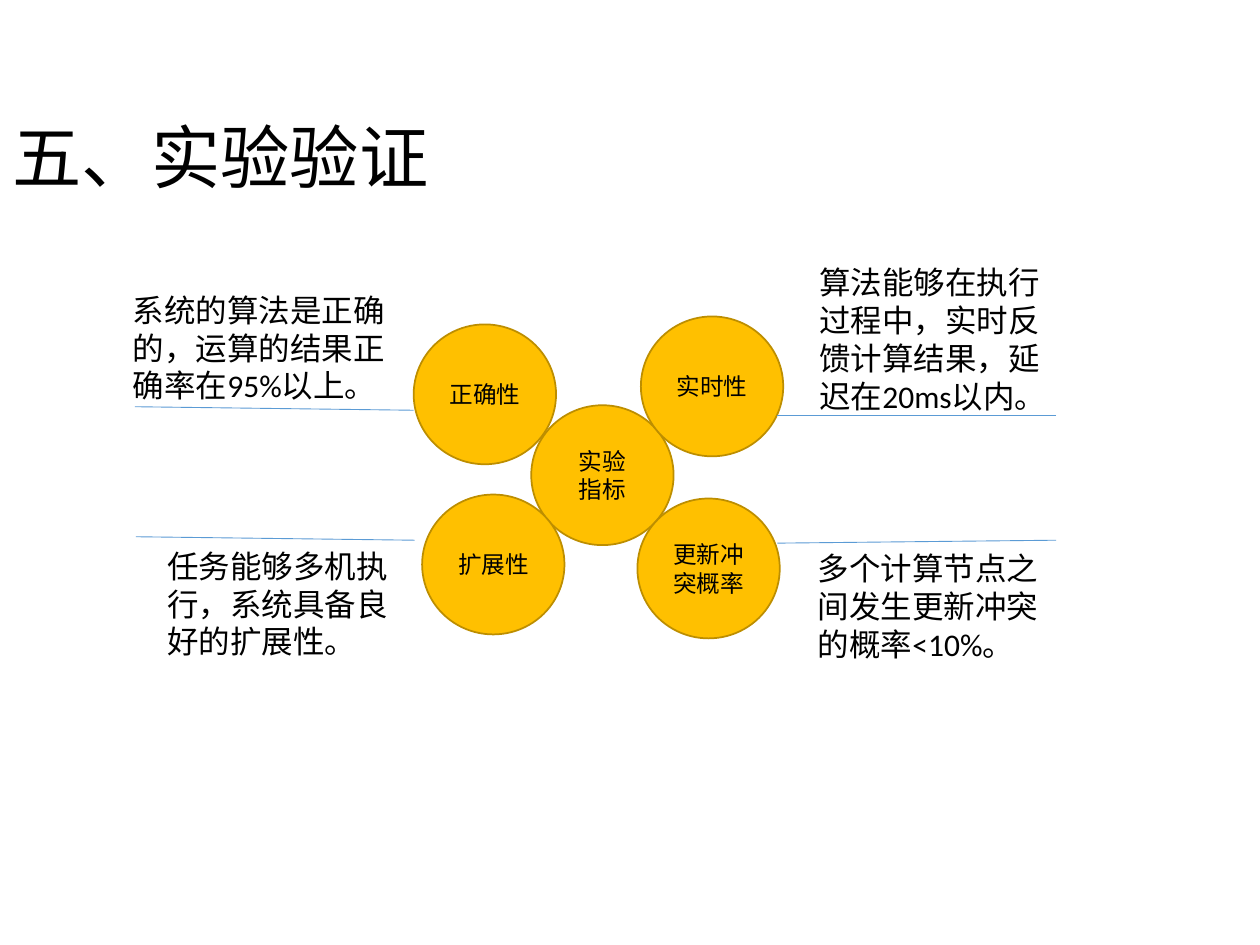
from lxml.etree import SubElement
from pptx import Presentation
from pptx.dml.color import RGBColor
from pptx.enum.shapes import MSO_CONNECTOR as Connector, MSO_SHAPE as Shape
from pptx.enum.text import MSO_ANCHOR as Anchor, MSO_AUTO_SIZE as AutoSize, PP_ALIGN as Align
from pptx.oxml.ns import qn
from pptx.util import Cm, Pt

TITLE = "五、实验验证"
CIRCLE_SIZE = (2.87, 2.82)
CIRCLES = [
    (["实验", "指标"], 10.71, 8.17),
    (["实时性"], 12.92, 6.38),
    (["更新冲突概率"], 12.85, 10.05),
    (["正确性"], 8.34, 6.54),
    (["扩展性"], 8.51, 9.97),
]
NOTES = [
    ("系统的算法是正确的，运算的结果正确率在95%以上。", (2.43, 5.74, 6.12, 2.57)),
    ("算法能够在执行过程中，实时反馈计算结果，延迟在20ms以内。", (16.27, 5.18, 5.36, 3.33)),
    ("多个计算节点之间发生更新冲突的概率<10%。", (16.24, 10.95, 5.41, 2.57)),
    ("任务能够多机执行，系统具备良好的扩展性。", (3.12, 10.9, 5.41, 2.57)),
]
RULES = [
    (8.34, 8.27, 2.72, 8.2),
    (21.29, 8.37, 15.67, 8.37),
    (8.36, 10.89, 2.74, 10.82),
    (21.29, 10.89, 15.67, 10.95),
]
TITLE_FORMAT = {"alignment": Align.LEFT, "line_spacing": 0.9}
CIRCLE_FORMAT = {"alignment": Align.CENTER}
NOTE_FORMAT = {"alignment": Align.LEFT}


def colour(hex_value):
    return RGBColor.from_string(hex_value)


def lengths(values):
    return [Cm(value) for value in values]


def write(frame, lines, size, paragraph_format, anchor, fit=AutoSize.NONE):
    frame.text = "\n".join(lines)
    for key, value in {"word_wrap": True, "auto_size": fit, "vertical_anchor": anchor}.items():
        setattr(frame, key, value)
    for paragraph in frame.paragraphs:
        for key, value in paragraph_format.items():
            setattr(paragraph, key, value)
        for key, value in {"size": Pt(size), "name": "Calibri"}.items():
            setattr(paragraph.font, key, value)
        paragraph.font.color.rgb = colour("000000")


def set_line(line, hex_value, width):
    line.color.rgb = colour(hex_value)
    line.width = Pt(width)


def add_circle(shapes, lines, left, top):
    circle = shapes.add_shape(Shape.FLOWCHART_CONNECTOR, *lengths((left, top, *CIRCLE_SIZE)))
    circle.shadow.inherit = False
    circle.fill.solid()
    circle.fill.fore_color.rgb = colour("FFC000")
    set_line(circle.line, "BD8E00", 1)
    write(circle.text_frame, lines, 13.5, CIRCLE_FORMAT, Anchor.MIDDLE)


def add_rule(shapes, ends):
    rule = shapes.add_connector(Connector.STRAIGHT, *lengths(ends))
    set_line(rule.line, "5B9BD5", 0.5)
    SubElement(rule._element.spPr, qn("a:effectLst"))


def main():
    deck = Presentation()
    deck.slide_width, deck.slide_height = lengths((25.4, 19.05))
    shapes = deck.slides.add_slide(deck.slide_layouts[5]).shapes

    title = shapes.title
    title.left, title.top, title.width, title.height = lengths((0, 2.34, 21.89, 1.8))
    write(title.text_frame, [TITLE], 39.6, TITLE_FORMAT, Anchor.MIDDLE)

    for lines, left, top in CIRCLES:
        add_circle(shapes, lines, left, top)
    for note, place in NOTES:
        box = shapes.add_textbox(*lengths(place))
        write(box.text_frame, [note], 18, NOTE_FORMAT, Anchor.TOP, AutoSize.SHAPE_TO_FIT_TEXT)
    for ends in RULES:
        add_rule(shapes, ends)

    deck.save("out.pptx")


if __name__ == "__main__":
    main()
